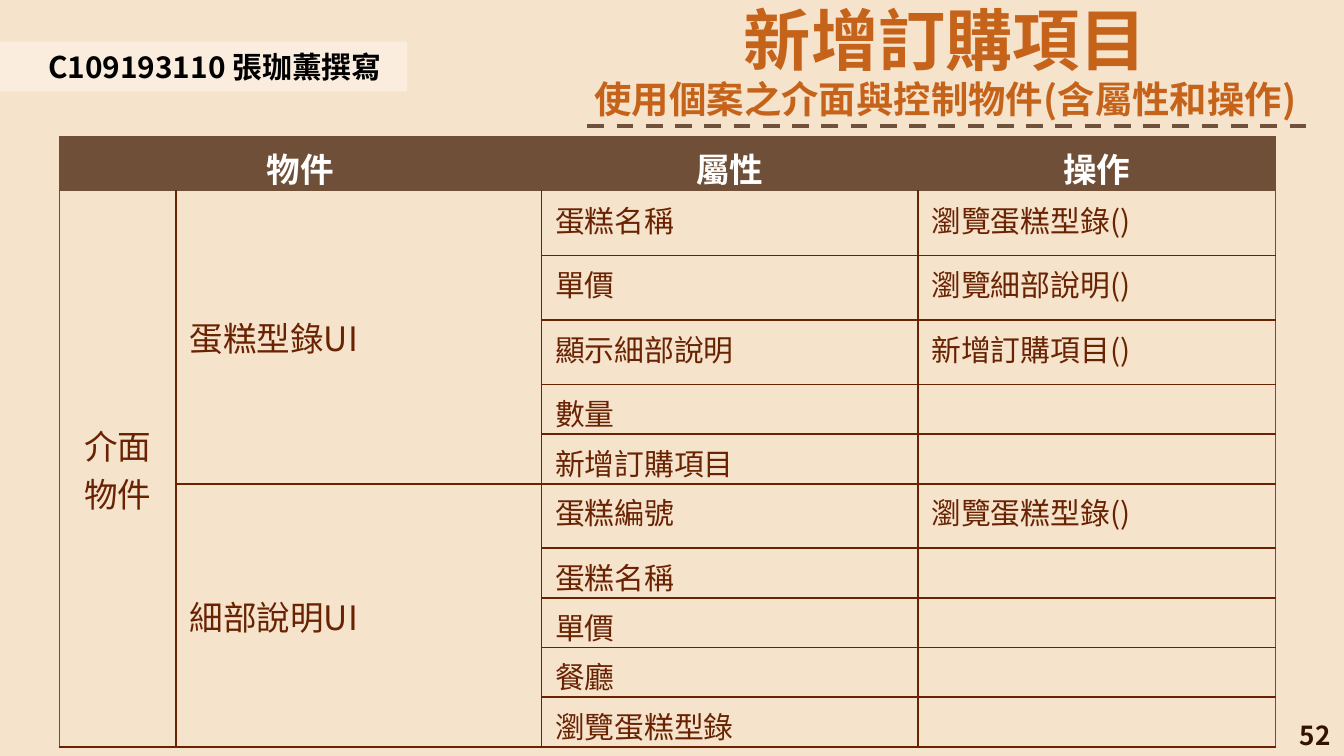
from lxml import etree
from pptx import Presentation
from pptx import util as u
from pptx.dml.color import RGBColor
from pptx.enum import dml, shapes, text
from pptx.oxml.ns import qn

COLORS = {"bg": "F5E3CC", "strip": "FAEDDE", "title": "C5631B", "header": "6F4F38",
          "dash": "70513B", "text": "692303", "number": "341202",
          "black": "000000", "white": "FFFFFF"}
CENTER, LEFT, RIGHT = (text.PP_ALIGN.CENTER, text.PP_ALIGN.LEFT, text.PP_ALIGN.RIGHT)


def rgb(name):
    return RGBColor.from_string(COLORS[name])


class Deck:
    """Holds the style and the current slide."""
    font = "Noto Sans CJK SC"

    def __init__(self, width):
        self.prs = Presentation()
        self.prs.slide_width = u.Inches(width)
        self.prs.slide_height = u.Inches(width) * 9 // 16
        self.s = self.prs.slides.add_slide(self.prs.slide_layouts[5])
        fill = self.s.background.fill
        fill.solid()
        fill.fore_color.rgb = rgb("bg")

    def style(self, p, size, color, bold=False, align=LEFT):
        p.alignment = align
        f = p.font
        f.size, f.bold, f.name, f.color.rgb = u.Pt(size), bold, self.font, rgb(color)
        # East Asian typeface follows the Latin one
        f._element.find(qn("a:latin")).addnext(
            etree.Element(qn("a:ea"), typeface=self.font))

    def title(self, box, lines):
        sp = self.s.shapes.title
        sp.left, sp.top, sp.width, sp.height = map(u.Inches, box)
        tf = sp.text_frame
        tf.auto_size, tf.word_wrap = text.MSO_AUTO_SIZE.NONE, True
        tf.vertical_anchor = text.MSO_ANCHOR.TOP
        tf.margin_left = tf.margin_right = tf.margin_top = tf.margin_bottom = u.Inches(0.1)
        tf.text = "\n".join(line for line, _, _ in lines)
        for p, (_, size, spacing) in zip(tf.paragraphs, lines):
            p.line_spacing, p.space_before = spacing, u.Pt(0)
            self.style(p, size, "title", True, CENTER)

    def label(self, box, words, size, color, align=LEFT, anchor=text.MSO_ANCHOR.TOP):
        tf = self.s.shapes.add_textbox(*map(u.Inches, box)).text_frame
        tf.word_wrap, tf.vertical_anchor = True, anchor
        tf.text = words
        self.style(tf.paragraphs[0], size, color, True, align)

    def strip(self, box, color):
        sp = self.s.shapes.add_shape(shapes.MSO_SHAPE.RECTANGLE, *map(u.Inches, box))
        sp.shadow.inherit = False
        sp.fill.solid()
        sp.fill.fore_color.rgb = rgb(color)
        sp.line.fill.background()

    def dashed_line(self, x1, x2, y):
        line = self.s.shapes.add_connector(
            shapes.MSO_CONNECTOR.STRAIGHT, *map(u.Inches, (x1, y, x2, y)))
        line.line.color.rgb, line.line.width = rgb("dash"), u.Pt(2.25)
        line.line.dash_style = dml.MSO_LINE.DASH
        etree.SubElement(line._element.spPr, qn("a:effectLst"))

    def table(self, left, top, cols, rows):
        table = self.s.shapes.add_table(
            len(rows), len(cols), *map(u.Inches, (left, top, sum(cols), sum(rows)))).table
        for col, width in zip(table.columns, cols):
            col.width = u.Inches(width)
        for row, height in zip(table.rows, rows):
            row.height = u.Inches(height)
        return table

    def cell(self, cell, words, size, color, fill=None, bold=False, align=LEFT,
             middle=False, vertical=False, edges=()):
        """Format a cell; the sides named in edges get the thin header-brown border."""
        cell.margin_top, cell.margin_bottom = u.Inches(0.05), u.Inches(0.05 if middle else 0)
        cell.vertical_anchor = text.MSO_ANCHOR.MIDDLE if middle else text.MSO_ANCHOR.TOP
        tc_pr = cell._tc.get_or_add_tcPr()
        for side in "LRTB":
            name, width = ("header", 0.75) if side in edges else ("text", 1)
            ln = etree.SubElement(tc_pr, qn(f"a:ln{side}"), w=str(u.Pt(width)))
            solid = etree.SubElement(ln, qn("a:solidFill"))
            etree.SubElement(solid, qn("a:srgbClr"), val=COLORS[name])
        if fill:
            cell.fill.solid()
            cell.fill.fore_color.rgb = rgb(fill)
        else:
            cell.fill.background()
        cell.text = words
        self.style(cell.text_frame.paragraphs[0], size, color, bold, align)
        if vertical:
            for element in (tc_pr, cell._tc.txBody.find(qn("a:bodyPr"))):
                element.set("vert", "eaVert")


deck = Deck(10)

# Page number and author strip
deck.label((7.75, 5.32, 2.25, 0.3), "52", 14, "number", RIGHT, text.MSO_ANCHOR.MIDDLE)
deck.strip((0, 0.31, 3.03, 0.37), "strip")
deck.label((0.26, 0.31, 2.77, 0.37), "C109193110 張珈薰撰寫", 16, "black")

# Object table: each interface object with its (attribute, operation) rows
HEADERS = ["物件", "", "屬性", "操作"]
OBJECTS = {
    "蛋糕型錄UI": [("蛋糕名稱", "瀏覽蛋糕型錄()"), ("單價", "瀏覽細部說明()"),
                ("顯示細部說明", "新增訂購項目()"), ("數量", ""), ("新增訂購項目", "")],
    "細部說明UI": [("蛋糕編號", "瀏覽蛋糕型錄()"), ("蛋糕名稱", ""), ("單價", ""),
                ("餐廳", ""), ("瀏覽蛋糕型錄", "")],
}
body = [(name if i == 0 else "", *pair)
        for name, pairs in OBJECTS.items() for i, pair in enumerate(pairs)]
heights = [0.4] + [0.48 if operation else 0.37 for _, _, operation in body]
table = deck.table(0.44, 1.02, [0.87, 2.72, 2.8, 2.66], heights)

for c, words in enumerate(HEADERS):
    deck.cell(table.cell(0, c), words, 18, "white", "header", True, CENTER, edges="LRTB")
for r, (name, attribute, operation) in enumerate(body, 1):
    top = "T" if r == 1 else ""
    deck.cell(table.cell(r, 0), "介面物件" if r == 1 else "", 18, "text",
              align=CENTER, middle=True, vertical=True, edges="L" + top)
    deck.cell(table.cell(r, 1), name, 18, "text", middle=True, edges=top)
    deck.cell(table.cell(r, 2), attribute, 16, "text", edges=top)
    deck.cell(table.cell(r, 3), operation, 16, "text", edges="R" + top)

table.cell(0, 0).merge(table.cell(0, 1))
table.cell(1, 0).merge(table.cell(len(body), 0))
first = 1
for pairs in OBJECTS.values():
    table.cell(first, 1).merge(table.cell(first + len(pairs) - 1, 1))
    first += len(pairs)

# Title with its dashed underline
deck.title((4.08, -0.11, 5.91, 1.09),
           [("新增訂購項目", 36, 1.0), ("使用個案之介面與控制物件(含屬性和操作)", 20, 0.95)])
deck.dashed_line(4.37, 9.76, 0.94)

deck.prs.save("out.pptx")
